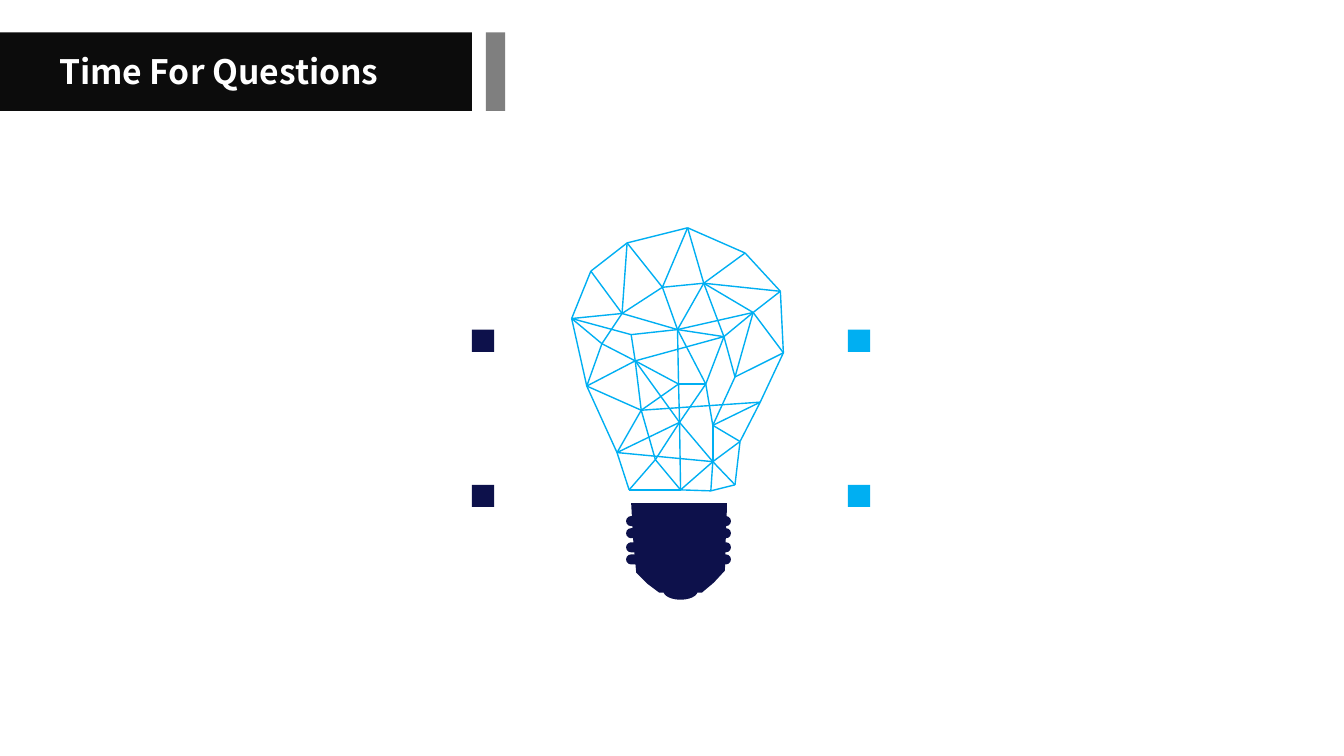
from lxml.etree import SubElement
from pptx import Presentation
from pptx.dml.color import RGBColor
from pptx.enum.shapes import MSO_CONNECTOR, MSO_SHAPE
from pptx.enum.text import MSO_ANCHOR, PP_ALIGN
from pptx.oxml.ns import qn
from pptx.util import Inches, Pt

CELL = Inches(1)  # the grid has 13.33 columns and 7.5 rows
COLUMNS, ROWS = 13.33, 7.5

NAVY = RGBColor(0x0D, 0x11, 0x4B)
SKY = RGBColor(0x00, 0xAF, 0xF2)
BLACK = RGBColor(0x0C, 0x0C, 0x0C)
GRAY = RGBColor(0x7F, 0x7F, 0x7F)
WHITE = RGBColor(0xFF, 0xFF, 0xFF)
FONT = "Noto Sans CJK SC"

BAR_TOP, BAR_HEIGHT, BAR_WIDTH = 0.32, 0.78, 4.68
MARKER_SIZE = 0.22

# Joints of the glass mesh as (column, row): A to O run round the outline.
JOINTS = {
    "A": (6.82, 2.26), "B": (7.39, 2.51), "C": (7.74, 2.89), "D": (7.77, 3.5),
    "E": (7.54, 3.99), "F": (7.34, 4.38), "G": (7.29, 4.81), "H": (7.05, 4.87),
    "I": (6.75, 4.86), "J": (6.24, 4.86), "K": (6.12, 4.49), "L": (5.82, 3.83),
    "M": (5.67, 3.16), "N": (5.86, 2.69), "O": (6.22, 2.41), "P": (6.17, 3.11),
    "Q": (6.57, 2.85), "R": (6.98, 2.81), "S": (7.47, 3.1), "T": (7.18, 3.34),
    "U": (6.72, 3.27), "V": (6.26, 3.32), "W": (5.97, 3.41), "X": (6.3, 3.58),
    "Y": (6.73, 3.81), "Z": (7, 3.81), "a": (7.29, 3.74), "b": (7.07, 4.22),
    "c": (7.07, 4.58), "d": (6.74, 4.19), "e": (6.36, 4.07), "f": (6.5, 4.56),
}
# Each joint with the later joints that it is tied to.
STRUTS = {
    "A": "BOQR", "B": "CR", "C": "DRS", "D": "ESa", "E": "Fbe", "F": "Gbc",
    "G": "Hc", "H": "Ic", "I": "Jcdf", "J": "Kf", "K": "Lcde", "L": "MWXe",
    "M": "NPVW", "N": "OP", "O": "PQ", "P": "QUW", "Q": "RU", "R": "STU",
    "S": "TUa", "T": "UXZa", "U": "VYZ", "V": "X", "W": "X", "X": "Yde",
    "Y": "Zde", "Z": "bd", "a": "b", "b": "c", "c": "d", "d": "f", "e": "f",
}
SOCKET = [
    (6.26, 4.99), (7.21, 4.99), (7.21, 5.04), (7.2, 5.29), (7.19, 5.66),
    (7.08, 5.78), (6.96, 5.88), (6.75, 5.88), (6.54, 5.88), (6.42, 5.79),
    (6.31, 5.68), (6.28, 5.35),
]
THREAD_TOPS = (5.12, 5.24, 5.38, 5.5)


def grid(*cells):
    return [round(count * CELL) for count in cells]


def paint(shape, color):
    shape.shadow.inherit = False
    shape.fill.solid()
    shape.fill.fore_color.rgb = color
    shape.line.fill.background()


def add_block(shapes, kind, box, color):
    block = shapes.add_shape(kind, *grid(*box))
    paint(block, color)
    return block


def add_outline(shapes, corners, color):
    first, *rest = [grid(*corner) for corner in corners]
    builder = shapes.build_freeform(*first)
    builder.add_line_segments(rest, close=True)
    paint(builder.convert_to_shape(), color)


def add_strut(shapes, start, end):
    strut = shapes.add_connector(MSO_CONNECTOR.STRAIGHT, *grid(*start, *end))
    strut.line.color.rgb = SKY
    strut.line.width = Pt(1)
    SubElement(strut._element.spPr, qn("a:effectLst"))


def write(shape, text, size, color, bold=False, align=PP_ALIGN.CENTER):
    frame = shape.text_frame
    frame.word_wrap = True
    frame.vertical_anchor = MSO_ANCHOR.MIDDLE
    paragraph = frame.paragraphs[0]
    paragraph.alignment = align
    run = paragraph.add_run()
    run.text = text
    font = run.font
    font.name, font.size, font.bold = FONT, Pt(size), bold
    font.color.rgb = color


def add_heading(slide, text):
    bar = (0, BAR_TOP, BAR_WIDTH, BAR_HEIGHT)
    add_block(slide.shapes, MSO_SHAPE.RECTANGLE, bar, BLACK)
    accent = (4.82, BAR_TOP, 0.19, BAR_HEIGHT)
    add_block(slide.shapes, MSO_SHAPE.RECTANGLE, accent, GRAY)
    title = slide.shapes.title
    title.left, title.top, title.width, title.height = grid(0, 0.45, 4.34, 0.5)
    write(title, text, size=24, color=WHITE, bold=True)
    slide.shapes._spTree.append(title._element)  # in front of the bar


def add_glass(slide):
    glass = slide.shapes.add_group_shape().shapes
    for start, ends in STRUTS.items():
        for end in ends:
            add_strut(glass, JOINTS[start], JOINTS[end])


def add_socket(slide):
    socket = slide.shapes.add_group_shape().shapes
    add_outline(socket, SOCKET, NAVY)
    for top in THREAD_TOPS:
        thread = add_block(socket, MSO_SHAPE.ROUNDED_RECTANGLE, (6.21, top, 1.04, 0.1), NAVY)
        thread.adjustments[0] = 0.5
    add_block(socket, MSO_SHAPE.OVAL, (6.58, 5.78, 0.34, 0.17), NAVY)


def add_markers(slide):
    for left, color in ((BAR_WIDTH, NAVY), (8.41, SKY)):
        for top in (3.27, 4.81):
            box = (left, top, MARKER_SIZE, MARKER_SIZE)
            add_block(slide.shapes, MSO_SHAPE.RECTANGLE, box, color)


def main():
    deck = Presentation()
    deck.slide_width, deck.slide_height = grid(COLUMNS, ROWS)
    slide = deck.slides.add_slide(deck.slide_layouts.get_by_name("Title Only"))
    add_glass(slide)
    add_socket(slide)
    add_markers(slide)
    add_heading(slide, "Time For Questions")
    deck.save("out.pptx")


if __name__ == "__main__":
    main()
